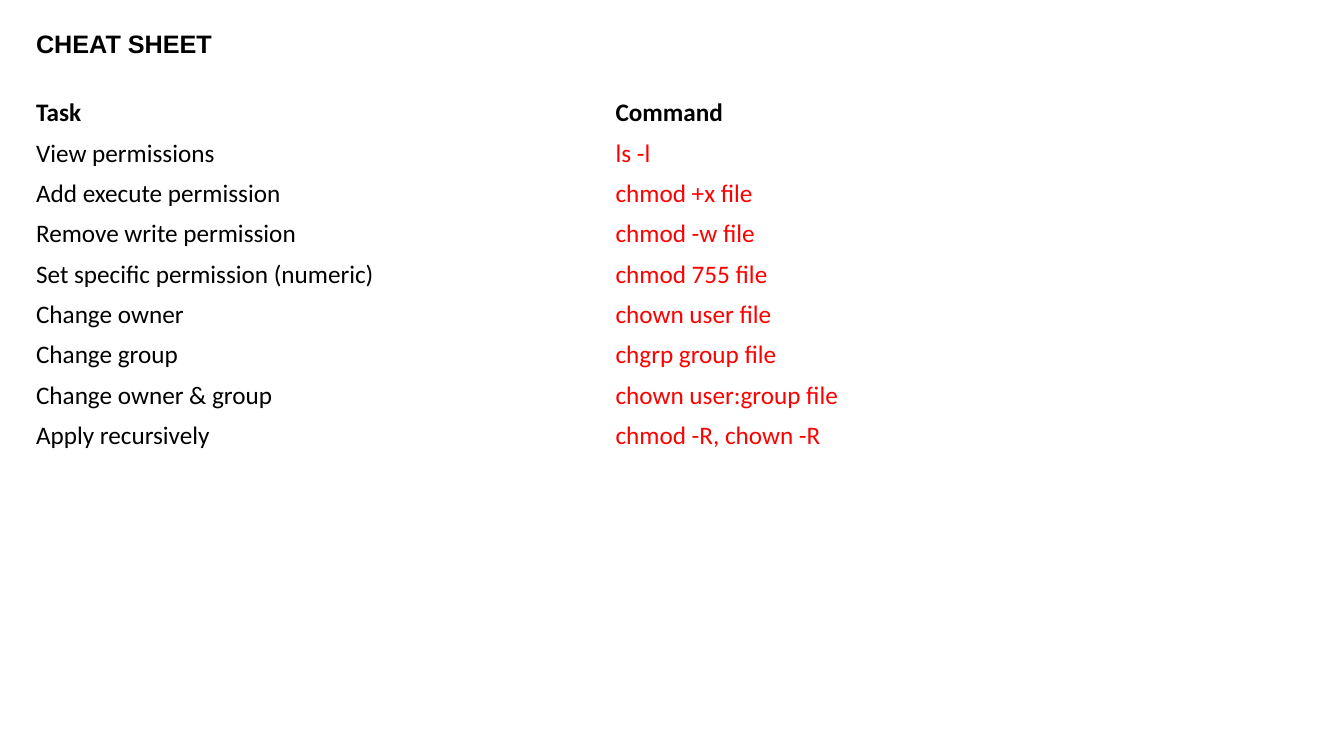
from pptx import Presentation
from pptx import util as u
from pptx.dml.color import RGBColor
from pptx.enum import text

TITLE = "CHEAT SHEET"
ROWS = [
    ("Task", "Command"),
    ("View permissions", "ls -l"),
    ("Add execute permission", "chmod +x file"),
    ("Remove write permission", "chmod -w file"),
    ("Set specific permission (numeric)", "chmod 755 file"),
    ("Change owner", "chown user file"),
    ("Change group", "chgrp group file"),
    ("Change owner & group", "chown user:group file"),
    ("Apply recursively", "chmod -R, chown -R"),
]
BLACK = RGBColor(0, 0, 0)
RED = RGBColor(255, 0, 0)
SLIDE_SIZE = (1344, 756)
TITLE_BOX = (26, 21, 198, 72)
TABLE_BOX = (26, 93, 1159, 363)
TITLE_INSET = 7
TEXT_SIZE = 18


def px(length):
    return u.Emu(round(length * u.Inches(1) / 100.8))


def format_paragraph(paragraph, font_name, color, bold):
    paragraph.alignment = text.PP_ALIGN.LEFT
    paragraph.font.name = font_name
    paragraph.font.size = u.Pt(TEXT_SIZE)
    paragraph.font.bold = bold
    paragraph.font.color.rgb = color


def add_title(slide):
    title = slide.shapes.title
    title.left, title.top, title.width, title.height = map(px, TITLE_BOX)
    frame = title.text_frame
    frame.text = TITLE
    frame.word_wrap = False
    frame.auto_size = text.MSO_AUTO_SIZE.NONE
    frame.vertical_anchor = text.MSO_ANCHOR.TOP
    frame.margin_top = px(TITLE_INSET)
    format_paragraph(frame.paragraphs[0], "Arial", BLACK, True)


def add_commands(slide):
    frame = slide.shapes.add_table(len(ROWS), len(ROWS[0]), *map(px, TABLE_BOX))
    table = frame.table
    table.first_row = False
    table.horz_banding = False
    for row, entries in enumerate(ROWS):
        for column, entry in enumerate(entries):
            cell = table.cell(row, column)
            cell.text = entry
            cell.fill.background()
            cell.vertical_anchor = text.MSO_ANCHOR.MIDDLE
            cell.margin_top = cell.margin_bottom = 0
            color = RED if row and column else BLACK
            format_paragraph(cell.text_frame.paragraphs[0], "Calibri", color, row == 0)


def main():
    presentation = Presentation()
    presentation.slide_width, presentation.slide_height = map(px, SLIDE_SIZE)
    slide = presentation.slides.add_slide(presentation.slide_layouts[5])
    add_title(slide)
    add_commands(slide)
    presentation.save("out.pptx")


if __name__ == "__main__":
    main()
